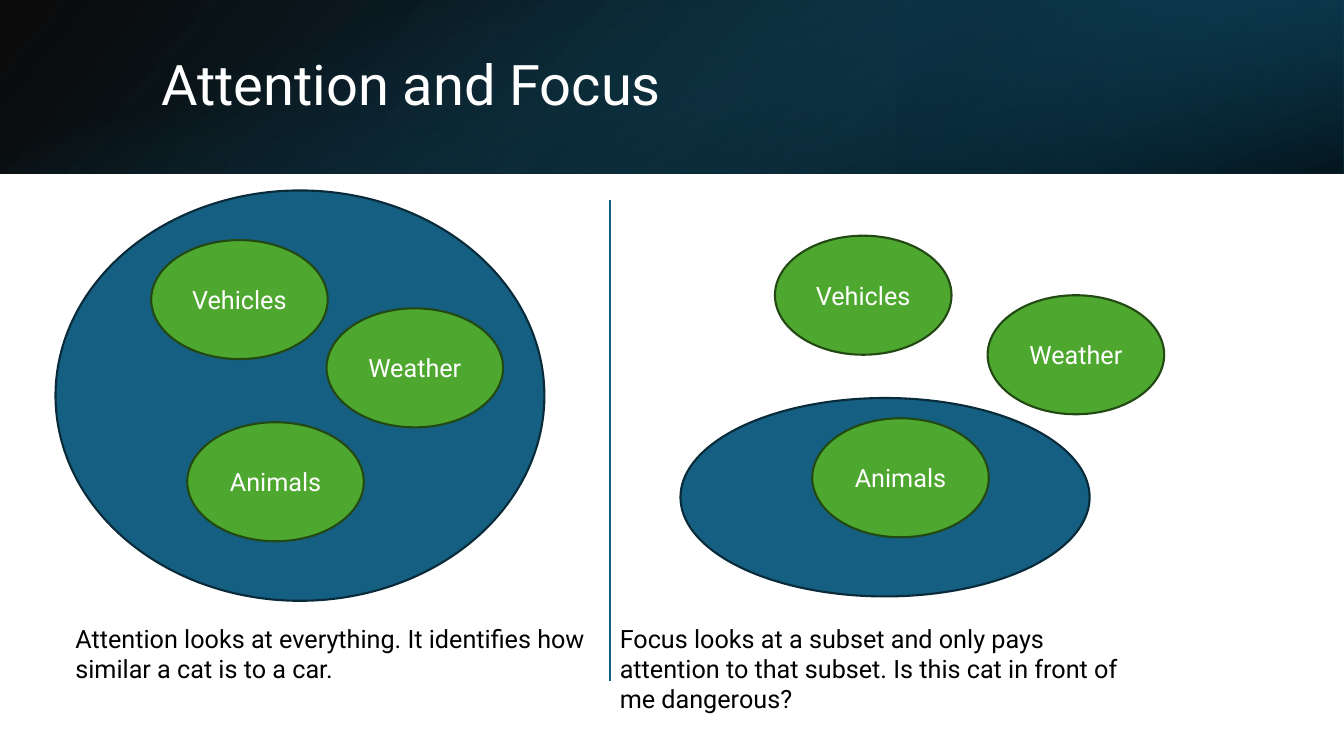
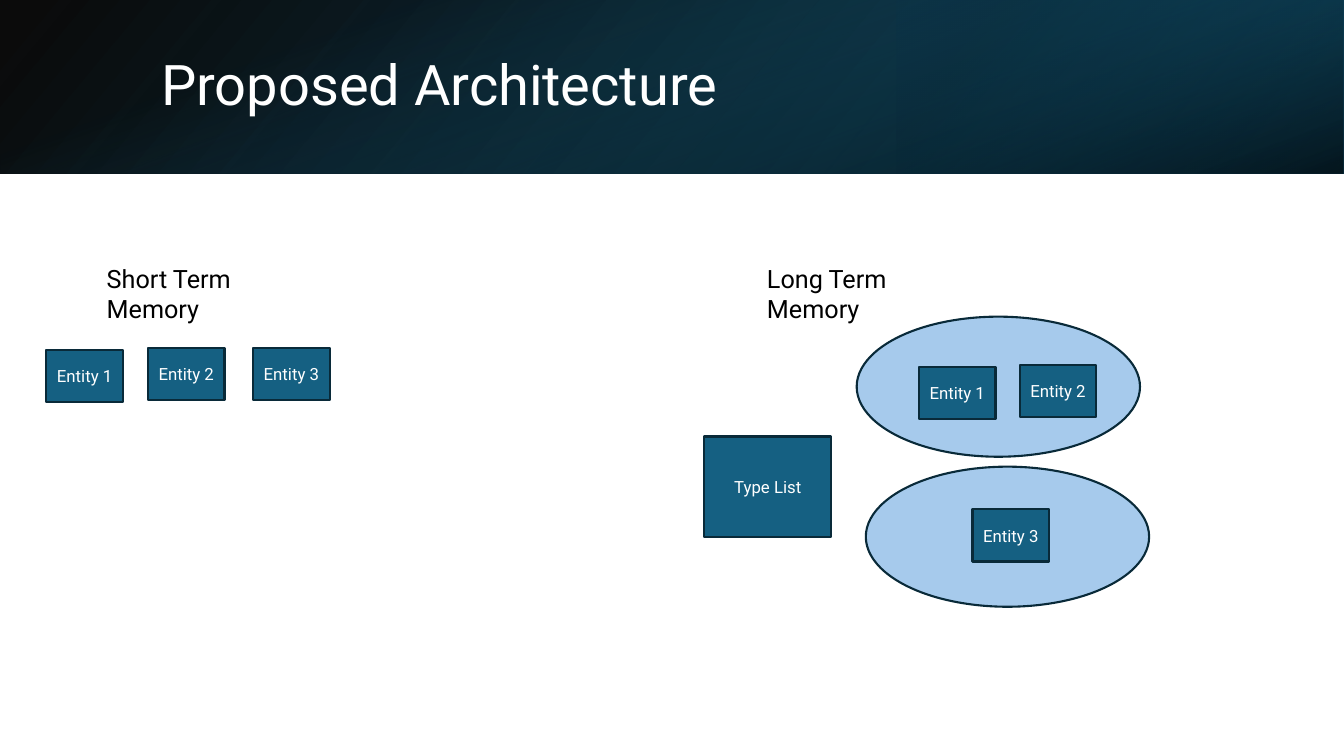
from dataclasses import dataclass
from typing import Any

from lxml.etree import SubElement
from pptx import Presentation
from pptx.dml.color import RGBColor as RGB
from pptx.enum.shapes import MSO_CONNECTOR as Link, MSO_SHAPE as Kind
from pptx.enum.text import MSO_ANCHOR as Anchor, PP_ALIGN as Align
from pptx.oxml.ns import qn
from pptx.util import Cm, Pt


@dataclass(frozen=True)
class Theme:
    font: str = "Roboto"
    white: str = "FFFFFF"
    black: str = "000000"
    blue: str = "156082"
    navy: str = "092A39"
    green: str = "4EA72E"
    moss: str = "224914"
    pale: str = "A6CAEC"
    deep: str = "104862"
    dusk: str = "0B3041"
    head: int = 40
    body: int = 18
    small: int = 12
    line: float = 1.5


@dataclass(frozen=True)
class Box:
    x: float
    y: float
    w: float
    h: float

    def cm(self) -> tuple[Cm, ...]:
        return tuple(Cm(v) for v in (self.x, self.y, self.w, self.h))


@dataclass(frozen=True)
class Stop:
    at: float
    color: str
    alpha: int = 100


@dataclass(frozen=True)
class Band:
    box: Box
    stops: tuple[Stop, Stop]
    angle: int
    turn: int = 0
    flip: bool = False


@dataclass(frozen=True)
class Style:
    kind: Kind
    fill: str
    line: str
    size: int


@dataclass(frozen=True)
class Node:
    style: Style
    box: Box
    text: str = ""


T = Theme()
WIDE, HIGH, TOP = 33.87, 19.05, 4.37
SIDE = 11.28
TITLE = Box(3.81, 0.97, 27.89, 2.44)
BANDS = (
    Band(Box(0, 0, WIDE, TOP),
         (Stop(0, T.black, 96), Stop(1, T.deep)), 140, flip=True),
    Band(Box(WIDE - SIDE, 0, SIDE, TOP),
         (Stop(0.19, T.dusk, 68), Stop(1, T.blue, 79)), 320, 180, True),
    Band(Box((WIDE - TOP) / 2, (TOP - WIDE) / 2, TOP, WIDE),
         (Stop(0.23, T.blue, 0), Stop(0.99, T.black, 74)), 340, 90),
)
FIELD = Style(Kind.OVAL, T.blue, T.navy, T.body)
TOPIC = Style(Kind.OVAL, T.green, T.moss, T.body)
GROUP = Style(Kind.OVAL, T.pale, T.navy, T.body)
BLOCK = Style(Kind.RECTANGLE, T.blue, T.navy, T.small)


def put(item: Any, **vals: Any) -> None:
    for key, val in vals.items():
        setattr(item, key, val)


def write(shape: Any, text: str, size: int, color: str,
          frame: dict[str, Any], para: dict[str, Any]) -> None:
    body = shape.text_frame
    body.text = text
    put(body, **frame)
    first = body.paragraphs[0]
    put(first, **para)
    font = first.runs[0].font
    put(font, name=T.font, size=Pt(size))
    font.color.rgb = RGB.from_string(color)


def draw_band(slide: Any, band: Band) -> None:
    shape = slide.shapes.add_shape(Kind.RECTANGLE, *band.box.cm())
    shape.shadow.inherit = False
    shape.line.fill.background()
    shape.rotation = band.turn
    if band.flip:
        shape._element.spPr.xfrm.set("flipH", "1")
    shape.fill.gradient()
    shape.fill.gradient_angle = 360 - band.angle
    for item, stop in zip(shape.fill.gradient_stops, band.stops):
        item.position = stop.at
        item.color.rgb = RGB.from_string(stop.color)
        SubElement(item._gs[0], qn("a:alpha"), val=str(stop.alpha * 1000))


def draw_node(slide: Any, node: Node) -> None:
    style = node.style
    shape = slide.shapes.add_shape(style.kind, *node.box.cm())
    shape.shadow.inherit = False
    shape.fill.solid()
    shape.fill.fore_color.rgb = RGB.from_string(style.fill)
    shape.line.color.rgb = RGB.from_string(style.line)
    shape.line.width = Pt(T.line)
    if node.text:
        write(shape, node.text, style.size, T.white,
              {"vertical_anchor": Anchor.MIDDLE, "word_wrap": True,
               "margin_left": Cm(0.1), "margin_right": Cm(0.1)},
              {"alignment": Align.CENTER})


def draw_text(slide: Any, box: Box, text: str) -> None:
    shape = slide.shapes.add_textbox(*box.cm())
    write(shape, text, T.body, T.black, {"word_wrap": True}, {})


def draw_rule(slide: Any, x: float, top: float, end: float) -> None:
    rule = slide.shapes.add_connector(
        Link.STRAIGHT, Cm(x), Cm(top), Cm(x), Cm(end))
    rule.line.color.rgb = RGB.from_string(T.blue)
    rule.line.width = Pt(T.line)
    SubElement(rule._element.spPr, qn("a:effectLst"))


def start(deck: Any, text: str) -> Any:
    slide = deck.slides.add_slide(deck.slide_layouts[5])
    for band in BANDS:
        draw_band(slide, band)
    title = slide.shapes.title
    left, top, width, height = TITLE.cm()
    put(title, left=left, top=top, width=width, height=height)
    write(title, text, T.head, T.white,
          {"vertical_anchor": Anchor.MIDDLE, "word_wrap": True},
          {"alignment": Align.LEFT, "line_spacing": 0.9})
    slide.shapes._spTree.append(title._element)
    return slide


def topic(x: float, y: float, text: str) -> Node:
    return Node(TOPIC, Box(x, y, 4.45, 3), text)


def entity(x: float, y: float, num: int) -> Node:
    return Node(BLOCK, Box(x, y, 1.93, 1.32), f"Entity {num}")


def group(x: float, y: float) -> Node:
    return Node(GROUP, Box(x, y, 7.14, 3.53))


def focus(deck: Any) -> None:
    slide = start(deck, "Attention and Focus")
    draw_rule(slide, 15.37, 5.05, 17.15)
    draw_text(slide, Box(1.65, 15.57, 13.74, 1.8),
              "Attention looks at everything. It identifies how similar "
              "a cat is to a car.")
    draw_text(slide, Box(15.37, 15.57, 13.49, 2.57),
              "Focus looks at a subset and only pays attention to that "
              "subset. Is this cat in front of me dangerous?")
    for node in (
        Node(FIELD, Box(1.4, 4.8, 12.32, 10.34)),
        topic(3.81, 6.05, "Vehicles"),
        topic(4.72, 10.64, "Animals"),
        topic(8.23, 7.77, "Weather"),
        Node(FIELD, Box(17.15, 10.03, 10.31, 5)),
        topic(19.53, 5.94, "Vehicles"),
        topic(20.47, 10.54, "Animals"),
        topic(24.89, 7.44, "Weather"),
    ):
        draw_node(slide, node)


def plan(deck: Any) -> None:
    slide = start(deck, "Proposed Architecture")
    for node in (
        group(21.59, 7.98),
        group(21.82, 11.76),
        entity(1.17, 8.81, 1),
        entity(3.73, 8.76, 2),
        entity(6.38, 8.76, 3),
        Node(BLOCK, Box(17.75, 11, 3.2, 2.54), "Type List"),
        entity(23.16, 9.25, 1),
        entity(25.7, 9.2, 2),
        entity(24.51, 12.83, 3),
    ):
        draw_node(slide, node)
    draw_text(slide, Box(2.44, 6.5, 5.6, 1.8), "Short Term Memory")
    draw_text(slide, Box(19.08, 6.5, 5.6, 1.8), "Long Term Memory")


def main() -> None:
    deck = Presentation()
    put(deck, slide_width=Cm(WIDE), slide_height=Cm(HIGH))
    focus(deck)
    plan(deck)
    deck.save("out.pptx")


if __name__ == "__main__":
    main()
